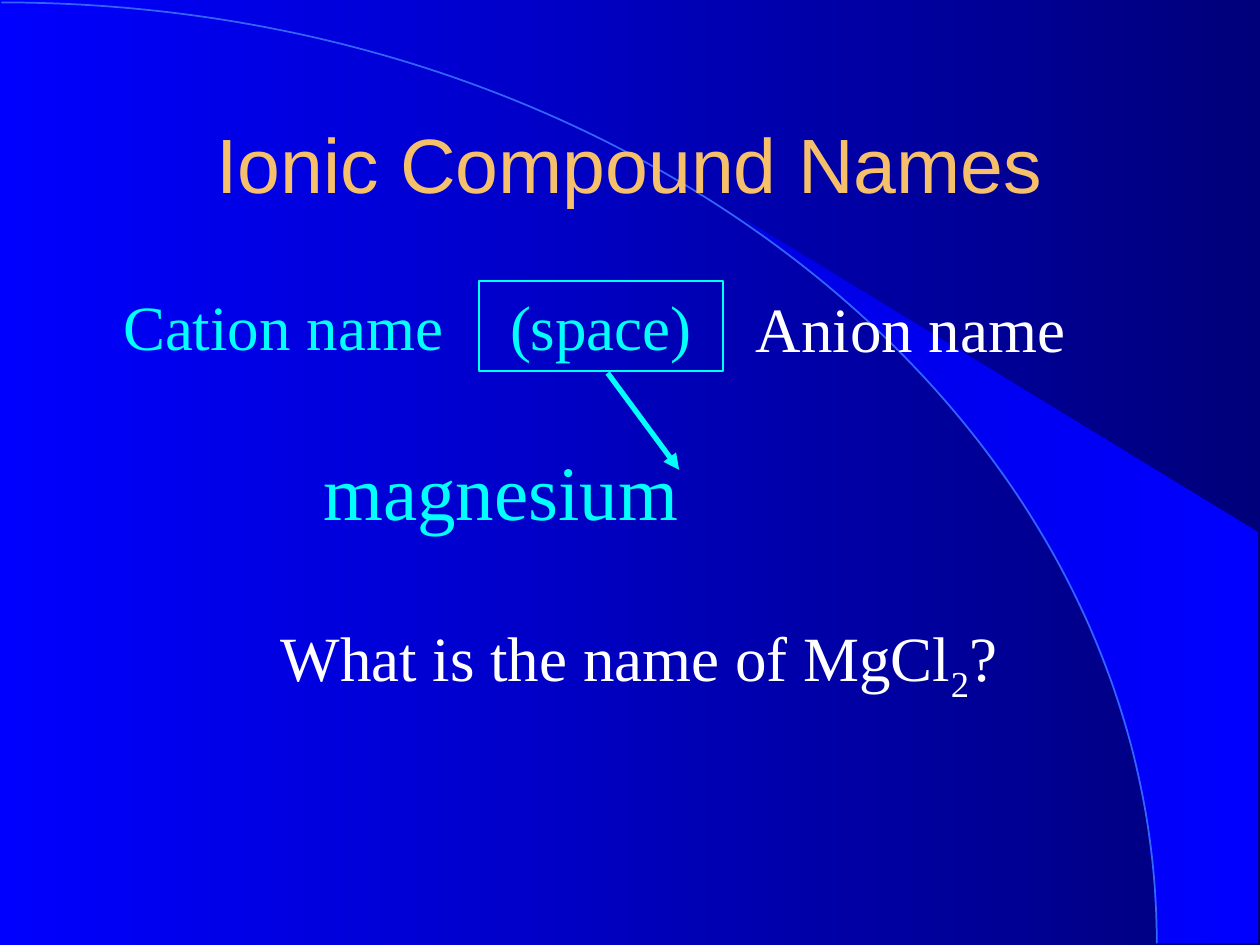
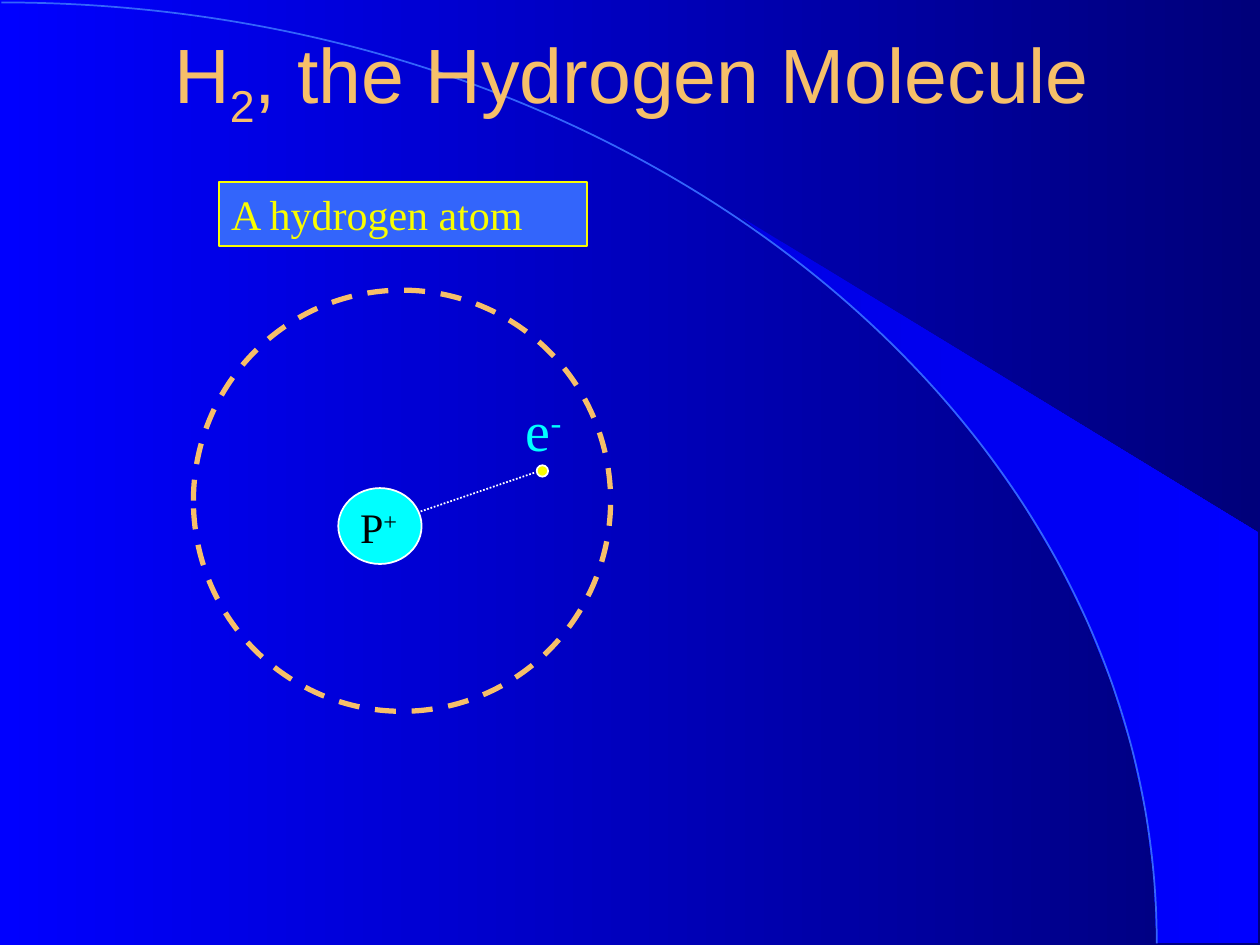
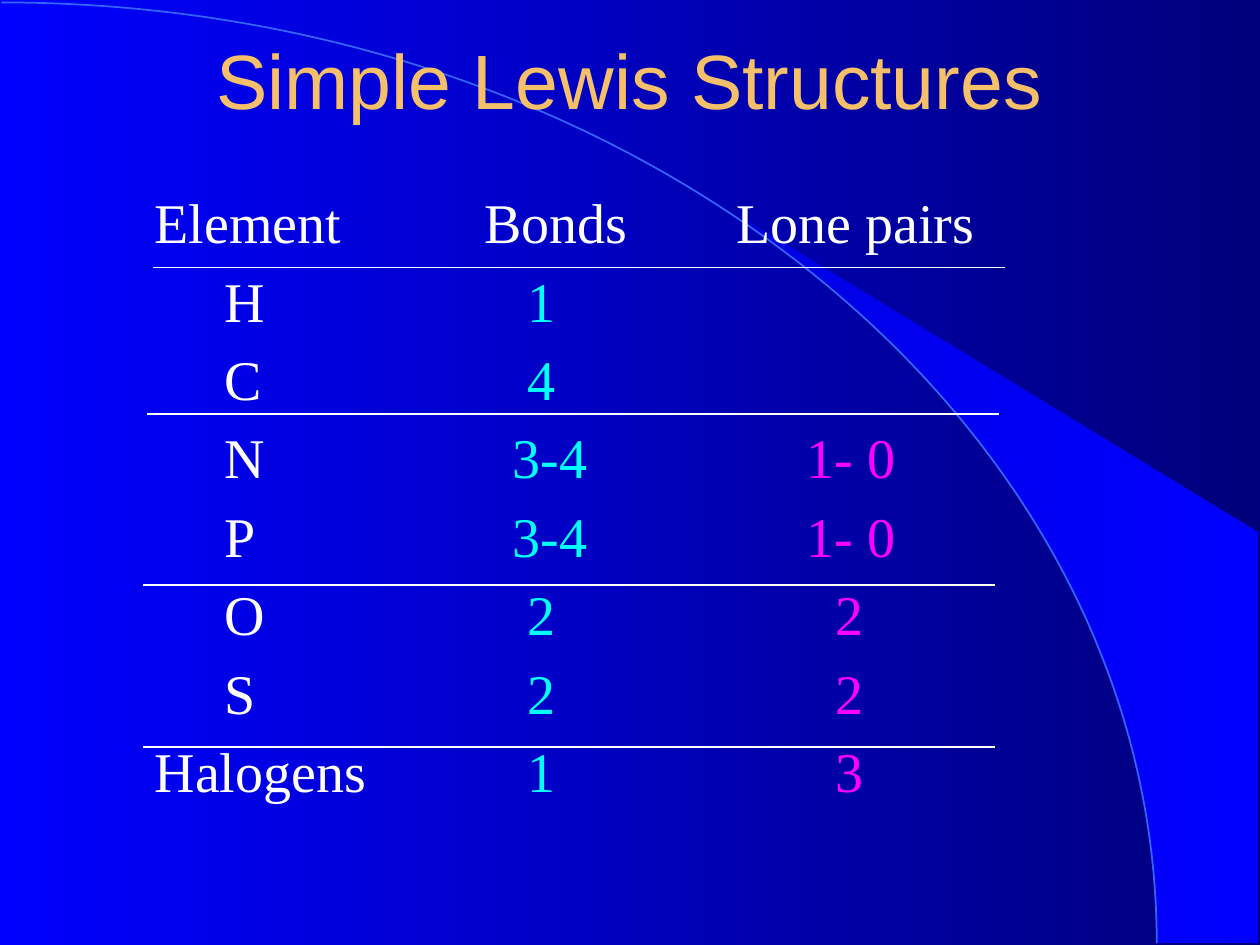
import math
from dataclasses import dataclass

import lxml.etree
import pptx
import pptx.dml.color
import pptx.enum.dml
import pptx.enum.shapes
import pptx.enum.text
import pptx.oxml.ns
import pptx.util

Cm = pptx.util.Cm
Shapes = pptx.enum.shapes.MSO_SHAPE
Dash = pptx.enum.dml.MSO_LINE
Align = pptx.enum.text.PP_ALIGN
Anchor = pptx.enum.text.MSO_ANCHOR


@dataclass(frozen=True)
class Theme:
    background: tuple = ("0000FF", "00007A")
    sash: tuple = ("0000E5", "0000FF")
    blue: str = "3365FB"
    gold: str = "F6BF69"
    yellow: str = "FAFD00"
    cyan: str = "00FFFF"
    magenta: str = "FF00FF"
    white: str = "FFFFFF"
    black: str = "000000"
    title_font: str = "Arial"
    body_font: str = "Times New Roman"
    title_size: int = 44
    heading_size: int = 36
    body_size: int = 32
    label_size: int = 24
    thin: int = 1
    thick: int = 3


@dataclass(frozen=True)
class Piece:
    """A stretch of text that differs from its paragraph."""
    text: str
    baseline: int = 0
    color: str = ""


THEME = Theme()


# ---- Colour, line and text helpers ----
def rgb(color):
    return pptx.dml.color.RGBColor.from_string(color)


def add_xml(parent, tag, **attributes):
    return lxml.etree.SubElement(parent, pptx.oxml.ns.qn(tag), attributes)


def set_gradient(fill, colors):
    fill.gradient()
    fill.gradient_angle = 0
    for stop, color in zip(fill.gradient_stops, colors):
        stop.color.rgb = rgb(color)


def set_line(line, color, width, dash=None):
    line.color.rgb = rgb(color)
    line.width = pptx.util.Pt(width)
    if dash:
        line.dash_style = dash


def write(paragraph, pieces, size, color, font=THEME.body_font, align=Align.LEFT):
    paragraph.alignment = align
    paragraph.font.name = font
    paragraph.font.size = pptx.util.Pt(size)
    paragraph.font.color.rgb = rgb(color)
    for piece in pieces:
        run = paragraph.add_run()
        run.text = piece.text
        if piece.color:
            run.font.color.rgb = rgb(piece.color)
        if piece.baseline:
            run._r.get_or_add_rPr().set("baseline", str(piece.baseline * 1000))


# ---- Slide elements ----
def add_text(slide, box, pieces, size, color, anchor=Anchor.TOP, **style):
    frame = slide.shapes.add_textbox(*map(Cm, box)).text_frame
    frame.word_wrap = True
    frame.vertical_anchor = anchor
    write(frame.paragraphs[0], pieces, size, color, **style)


def add_title(slide, left, top, *pieces):
    add_text(slide, (left, top, 21.59, 3.18), pieces, THEME.title_size, THEME.gold,
             anchor=Anchor.MIDDLE, font=THEME.title_font, align=Align.CENTER)


def add_figure(slide, kind, box, line, width=THEME.thin, fill=None, dash=None):
    shape = slide.shapes.add_shape(kind, *map(Cm, box))
    shape.shadow.inherit = False
    if fill:
        shape.fill.solid()
        shape.fill.fore_color.rgb = rgb(fill)
    else:
        shape.fill.background()
    set_line(shape.line, line, width, dash)
    return shape


def add_label_box(slide, box, text, size, color, align=Align.LEFT, fill=None):
    shape = add_figure(slide, Shapes.RECTANGLE, box, color, fill=fill)
    frame = shape.text_frame
    frame.word_wrap = True
    frame.vertical_anchor = Anchor.TOP
    write(frame.paragraphs[0], [Piece(text)], size, color, align=align)


def add_line(slide, start, end, color, width=THEME.thin, dash=None, arrow=False):
    connector = slide.shapes.add_connector(
        pptx.enum.shapes.MSO_CONNECTOR.STRAIGHT, *map(Cm, start + end))
    set_line(connector.line, color, width, dash)
    if arrow:
        add_xml(connector.line._get_or_add_ln(), "a:tailEnd", type="triangle")
    add_xml(connector._element.spPr, "a:effectLst")


def add_outline(slide, points, close):
    points = [(Cm(x), Cm(y)) for x, y in points]
    builder = slide.shapes.build_freeform(*points[0])
    builder.add_line_segments(points[1:], close=close)
    shape = builder.convert_to_shape()
    shape.shadow.inherit = False
    return shape


def add_curve(slide, start, *controls_and_end):
    """Draw one cubic curve from start to the last point."""
    shape = add_outline(slide, (start,) + controls_and_end, False)
    outline = next(shape._element.iter(pptx.oxml.ns.qn("a:path")))
    segments = list(outline)[1:]
    curve = add_xml(outline, "a:cubicBezTo")
    for segment in segments:
        curve.append(segment[0])
        outline.remove(segment)
    return shape


# ---- Shared backdrop ----
def sash_points():
    """Inner edge along the quarter ellipse, then the two right corners."""
    bottom, radius_x, radius_y = 19.02, 23.32, 18.97
    angles = [math.radians(degree) for degree in range(42, 91, 4)]
    edge = [(radius_x * math.sin(a), bottom - radius_y * math.cos(a)) for a in angles]
    return [(14.96, 4.39)] + edge + [(25.37, bottom), (25.37, 10.74)]


def build_master(presentation, slide):
    """Draw the backdrop on a slide and move it behind the master's contents."""
    master = presentation.slide_master
    set_gradient(master.background.fill, THEME.background)
    sash = add_outline(slide, sash_points(), True)
    set_gradient(sash.fill, THEME.sash)
    sash.line.fill.background()
    arc = add_curve(slide, (0.03, 0.05), (12.9, 0.05), (23.32, 8.56), (23.32, 19.02))
    arc.fill.background()
    set_line(arc.line, THEME.blue, THEME.thin)
    for index, shape in enumerate((sash, arc)):
        shape._element.nvSpPr.cNvPr.set("id", str(101 + index))
        master.shapes._spTree.insert(2 + index, shape._element)


# ---- Slides ----
def build_ionic_names(slide):
    add_title(slide, 1.9, 1.7, Piece("Ionic Compound Names"))
    for box, pieces, color in (
        ((1.25, 5.67, 8.92, 1.78), [Piece("Cation name")], THEME.cyan),
        ((14.76, 5.72, 7.19, 1.78), [Piece("Anion name")], THEME.white),
        ((3.38, 12.34, 19, 1.78),
         [Piece("What is the name of MgCl"), Piece("2", -25), Piece("?")], THEME.white),
    ):
        add_text(slide, box, pieces, THEME.heading_size, color, align=Align.CENTER)
    add_label_box(slide, (9.65, 5.67, 4.93, 1.81), "(space)",
                  THEME.heading_size, THEME.cyan, Align.CENTER)
    add_text(slide, (6.27, 8.81, 13.82, 2.11), [Piece("magnesium")],
             THEME.title_size, THEME.cyan)
    add_line(slide, (12.25, 7.52), (13.69, 9.47), THEME.cyan, THEME.thick, arrow=True)


def build_hydrogen(slide):
    add_title(slide, 1.95, 0, Piece("H"), Piece("2", -25),
              Piece(", the Hydrogen Molecule"))
    # Proton and electron
    add_figure(slide, Shapes.OVAL, (6.82, 9.84, 1.68, 1.53), THEME.white, fill=THEME.cyan)
    add_text(slide, (7.01, 9.98, 1.35, 1.27), [Piece("P"), Piece("+", 30)],
             THEME.label_size, THEME.black)
    add_figure(slide, Shapes.OVAL, (10.82, 9.38, 0.23, 0.23), THEME.white,
               fill=THEME.yellow)
    add_text(slide, (10.35, 7.85, 1.45, 1.6), [Piece("e"), Piece("-", 30)],
             THEME.body_size, THEME.cyan)
    # Electron cloud and its label
    add_figure(slide, Shapes.OVAL, (3.9, 5.85, 8.41, 8.49), THEME.gold, THEME.thick,
               dash=Dash.DASH)
    add_label_box(slide, (4.41, 3.67, 7.43, 1.29), "A hydrogen atom",
                  THEME.label_size, THEME.yellow, fill=THEME.blue)
    add_line(slide, (8.48, 10.31), (10.77, 9.53), THEME.white, dash=Dash.ROUND_DOT)


def add_tabbed_rows(slide, box, rows):
    frame = slide.shapes.add_textbox(*map(Cm, box)).text_frame
    frame.word_wrap = True
    for index, (tabs, element, bonds, pairs) in enumerate(rows):
        paragraph = frame.add_paragraph() if index else frame.paragraphs[0]
        if index:
            paragraph.space_before = pptx.util.Pt(6.4)
        tab_list = add_xml(paragraph._p.get_or_add_pPr(), "a:tabLst")
        for position, align in tabs:
            add_xml(tab_list, "a:tab", pos=str(Cm(position)), algn=align)
        header = index == 0
        pieces = [Piece(element + "\t"),
                  Piece(bonds, color="" if header else THEME.cyan)]
        if pairs:
            pieces.append(Piece("\t" + pairs, color="" if header else THEME.magenta))
        write(paragraph, pieces, THEME.body_size, THEME.white)


def build_lewis(slide):
    add_title(slide, 1.9, 0, Piece("Simple Lewis Structures"))
    symbol = (1.41, "l")
    header = ((6.65, "l"), (11.73, "l"))
    single = (symbol, (7.79, "ctr"), (14, "ctr"))
    span = (symbol, (7.97, "ctr"), (14.04, "ctr"))
    add_tabbed_rows(slide, (2.87, 3.66, 20.62, 13.18), (
        (header, "Element", "Bonds", "Lone pairs"),
        (single, "\tH", "1", ""),
        (single, "\tC", "4", ""),
        (span, "\tN", "3-4", "1- 0"),
        (span, "\tP", "3-4", "1- 0"),
        (single, "\tO", "2", "2"),
        (single, "\tS", "2", "2"),
        (single, "Halogens", "1", "3"),
    ))
    # Rules between the groups of elements
    for left, top in ((3.08, 5.39), (2.97, 8.35), (2.89, 11.79), (2.89, 15.06)):
        add_line(slide, (left, top), (left + 17.17, top), THEME.white)


def main():
    presentation = pptx.Presentation()
    presentation.slide_width = Cm(25.4)
    presentation.slide_height = Cm(19.05)
    blank = presentation.slide_layouts[6]
    slides = [presentation.slides.add_slide(blank) for _ in range(3)]
    build_master(presentation, slides[0])
    for build, slide in zip((build_ionic_names, build_hydrogen, build_lewis), slides):
        build(slide)
    presentation.save("out.pptx")


if __name__ == "__main__":
    main()
